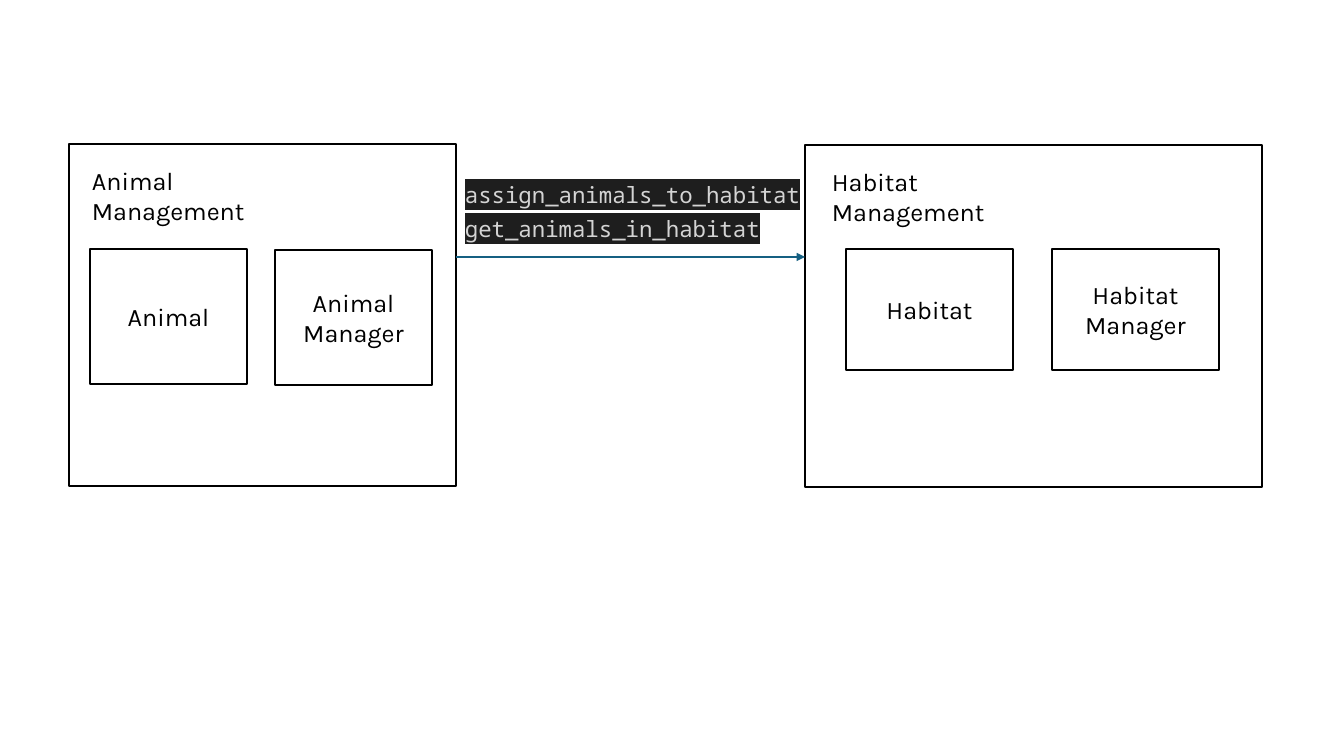
"""Build a slide of two management modules joined by the calls between them."""
from dataclasses import dataclass

import pptx
import pptx.dml.color
import pptx.enum.shapes
import pptx.enum.text
import pptx.oxml
import pptx.oxml.ns
import pptx.util

SLIDE_SIZE = (1344, 756)
MODULES = [
    {"title": "Animal Management", "frame": (69, 144, 387, 342), "title_box": (82, 160, 247, 40),
     "cards": [("Animal", 90, 249), ("Animal Manager", 275, 250)], "card_size": (157, 135)},
    {"title": "Habitat Management", "frame": (805, 145, 457, 342), "title_box": (822, 161, 252, 40),
     "cards": [("Habitat", 846, 249), ("Habitat Manager", 1052, 249)], "card_size": (167, 121)},
]
CALLS = ["assign_animals_to_habitat", "get_animals_in_habitat"]
CALL_BOX = (455, 176, 672, 37)
CALL_STEP = 34
ARROW_Y = 257


@dataclass(frozen=True)
class Theme:
    """Colours, fonts and sizes."""
    ink: str = "000000"
    arrow: str = "156082"
    code: str = "D4D4D4"
    code_back: str = "1E1E1E"
    label_font: str = "Karla"
    code_font: str = "Noto Sans Mono"
    label_size: int = 18
    code_size: int = 16
    line_width: float = 1.5


THEME = Theme()
ALIGN = pptx.enum.text.PP_ALIGN
ANCHOR = pptx.enum.text.MSO_ANCHOR


def px(length):
    """Turn px into EMU."""
    return pptx.util.Emu(round(length * 914400 / 100.8))


def rgb(value):
    """Make a colour from its hex text."""
    return pptx.dml.color.RGBColor.from_string(value)


def element(tag, **attributes):
    """Make a drawing element."""
    node = pptx.oxml.parse_xml(f"<a:{tag} {pptx.oxml.ns.nsdecls('a')}/>")
    for name, value in attributes.items():
        node.set(name, value)
    return node


def write(box, text, size, font, color, align=ALIGN.LEFT, anchor=ANCHOR.TOP):
    """Write one run into a box and return it."""
    frame = box.text_frame
    frame.word_wrap = True
    frame.vertical_anchor = anchor
    para = frame.paragraphs[0]
    para.alignment = align
    span = para.add_run()
    span.text = text
    span.font.size = pptx.util.Pt(size)
    span.font.name = font
    span.font.color.rgb = rgb(color)
    return span


def add_text(page, bounds, *style):
    """Add a text box and return its run."""
    return write(page.shapes.add_textbox(*map(px, bounds)), *style)


def add_outline(page, bounds):
    """Add an unfilled rectangle."""
    box = page.shapes.add_shape(pptx.enum.shapes.MSO_SHAPE.RECTANGLE, *map(px, bounds))
    box.shadow.inherit = False
    box.fill.background()
    box.line.color.rgb = rgb(THEME.ink)
    box.line.width = pptx.util.Pt(THEME.line_width)
    return box


def add_module(page, module):
    """Add a frame with its title and cards."""
    label = (THEME.label_size, THEME.label_font, THEME.ink)
    add_outline(page, module["frame"])
    add_text(page, module["title_box"], module["title"], *label)
    for name, left, top in module["cards"]:
        card = add_outline(page, (left, top, *module["card_size"]))
        write(card, name, *label, ALIGN.CENTER, ANCHOR.MIDDLE)


def add_call(page, index, name):
    """Add one highlighted call above the arrow."""
    left, top, width, height = CALL_BOX
    span = add_text(page, (left, top + index * CALL_STEP, width, height),
                    name, THEME.code_size, THEME.code_font, THEME.code)
    highlight = element("highlight")
    highlight.append(element("srgbClr", val=THEME.code_back))
    fill = span.font._element.find(pptx.oxml.ns.qn("a:solidFill")) if hasattr(span.font, "_element") \
        else span._r.rPr.find(pptx.oxml.ns.qn("a:solidFill"))
    fill.addnext(highlight)


def add_arrow(page):
    """Add the arrow from the first frame to the second."""
    source, target = (module["frame"] for module in MODULES)
    arrow = page.shapes.add_connector(
        pptx.enum.shapes.MSO_CONNECTOR.STRAIGHT,
        px(source[0] + source[2]), px(ARROW_Y), px(target[0]), px(ARROW_Y))
    arrow.line.color.rgb = rgb(THEME.arrow)
    arrow.line.width = pptx.util.Pt(THEME.line_width)
    arrow.line._get_or_add_ln().append(element("tailEnd", type="triangle"))
    arrow._element.spPr.append(element("effectLst"))


def main():
    """Build and save the deck."""
    deck = pptx.Presentation()
    deck.slide_width, deck.slide_height = map(px, SLIDE_SIZE)
    page = deck.slides.add_slide(deck.slide_layouts[6])
    for module in MODULES:
        add_module(page, module)
    for index, name in enumerate(CALLS):
        add_call(page, index, name)
    add_arrow(page)
    deck.save("out.pptx")


if __name__ == "__main__":
    main()
